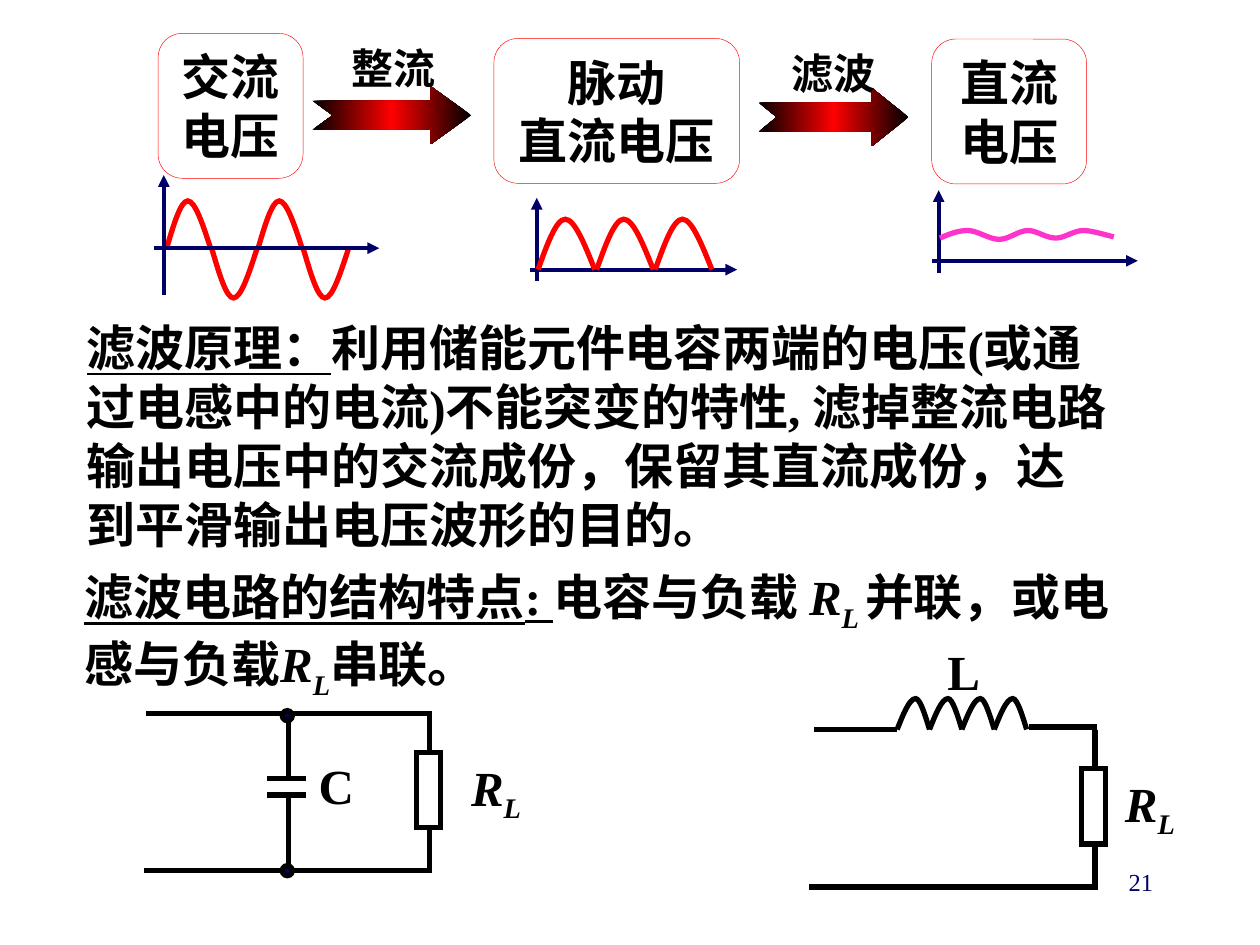
import copy

import pptx
import pptx.dml.color
import pptx.enum.shapes
import pptx.enum.text
import pptx.oxml.ns
import pptx.util
from lxml import etree

WIDE, HIGH = 100, 75  # grid of the slide: columns and rows, 0.1 inch each
SERIF, HAN = "Times New Roman", "Noto Sans CJK SC"
BLACK, RED, NAVY, PINK, WHITE = "000000", "FF0000", "000066", "FF33CC", "FFFFFF"
KIND = pptx.enum.shapes.MSO_SHAPE
ALIGN = pptx.enum.text.PP_ALIGN
MID = pptx.enum.text.MSO_ANCHOR.MIDDLE
TOP = pptx.enum.text.MSO_ANCHOR.TOP
FIT = pptx.enum.text.MSO_AUTO_SIZE.SHAPE_TO_FIT_TEXT
qn = pptx.oxml.ns.qn


def cell(*nums):
    """Turn grid units into lengths."""
    return [pptx.util.Inches(n / 10) for n in nums]


def rgb(code):
    return pptx.dml.color.RGBColor.from_string(code)


def stroke(line, color, width):
    line.color.rgb = rgb(color)
    line.width = pptx.util.Pt(width)
    etree.SubElement(line._get_or_add_ln(), qn("a:miter")).set("lim", "800000")


def write(shape, lines, size=28, color=BLACK, bold=True, face=SERIF,
          align=ALIGN.LEFT, anchor=TOP, side=1):
    """Fill a shape with lines of (text, marks); marks: u, i, s (subscript)."""
    frame = shape.text_frame
    frame.word_wrap = True
    frame.auto_size = FIT
    frame.vertical_anchor = anchor
    frame.margin_left, frame.margin_right = cell(side, side)
    for n, runs in enumerate(lines):
        para = frame.add_paragraph() if n else frame.paragraphs[0]
        para.alignment = align
        for text, marks in runs:
            run = para.add_run()
            run.text = text
            font = run.font
            font.name, font.size, font.bold = face, pptx.util.Pt(size), bold
            font.color.rgb = rgb(color)
            font.underline, font.italic = "u" in marks, "i" in marks
            props = run._r.get_or_add_rPr()
            if "s" in marks:
                props.set("baseline", "-25000")
            etree.SubElement(props, qn("a:ea")).set("typeface", HAN)


def label(art, at, lines, **look):
    write(art.add_textbox(*cell(*at)), lines, **look)


def wire(art, x1, y1, x2, y2, color=BLACK, width=3, arrow=False):
    line = art.add_connector(pptx.enum.shapes.MSO_CONNECTOR.STRAIGHT,
                             *cell(x1, y1, x2, y2))
    stroke(line.line, color, width)
    if arrow:
        tip = etree.SubElement(line.line._get_or_add_ln(), qn("a:tailEnd"))
        tip.set("type", "triangle")
    etree.SubElement(line._element.spPr, qn("a:effectLst"))


def block(art, kind, at, fill=None, color=BLACK, width=3):
    shape = art.add_shape(kind, *cell(*at))
    shape.shadow.inherit = False
    if fill:
        shape.fill.solid()
        shape.fill.fore_color.rgb = rgb(fill)
    else:
        shape.fill.background()
    stroke(shape.line, color, width)
    return shape


def curve(art, pts, color):
    """Draw an open line through chained cubic curves."""
    pen = art.build_freeform(*cell(*pts[0]), scale=1.0)
    pen.add_line_segments([cell(*p) for p in pts[1:]], close=False)
    shape = pen.convert_to_shape()
    # Each three straight pieces become one cubic piece
    legs = list(shape._element.iter(qn("a:lnTo")))
    for k in range(0, len(legs), 3):
        bend = etree.Element(qn("a:cubicBezTo"))
        legs[k].addprevious(bend)
        for leg in legs[k:k + 3]:
            bend.append(leg[0])
            leg.getparent().remove(leg)
    shape.shadow.inherit = False
    shape.fill.background()
    stroke(shape.line, color, 3)


def arch(art, x, y, wide, high, color, peak=.48):
    """Half a wave on the base line y; a negative height hangs below it."""
    rest = 1 - peak
    shares = [(0, 0), (peak / 3, .5), (peak * 2 / 3, 1), (peak, 1),
              (peak + rest * .32, 1), (peak + rest * .66, .5), (1, 0)]
    curve(art, [(x + wide * p, y - high * q) for p, q in shares], color)


def stage(art, at, words):
    shape = block(art, KIND.FLOWCHART_ALTERNATE_PROCESS, at, color=RED, width=.25)
    write(shape, [[(word, "")] for word in words], face=HAN, align=ALIGN.CENTER, anchor=MID)


def step(slide, at, head, spot, word):
    """Gradient arrow with its name above."""
    art = slide.shapes.add_group_shape().shapes
    shape = art.add_shape(KIND.NOTCHED_RIGHT_ARROW, *cell(*at))
    shape.shadow.inherit = False
    shape.adjustments[0], shape.adjustments[1] = .5, head
    shape.fill.gradient()
    shape.fill.gradient_angle = 0
    first, last = shape.fill.gradient_stops
    first.color.rgb = last.color.rgb = rgb(BLACK)
    first.position, last.position = 0, 1
    gs = next(shape._element.iter(qn("a:gs")))
    gs.addnext(copy.deepcopy(gs))
    core = shape.fill.gradient_stops[1]
    core.color.rgb, core.position = rgb(RED), .5
    shape.line.fill.background()
    label(art, spot, [[(word, "")]], size=24, face=HAN, align=ALIGN.CENTER,
          anchor=MID, side=0)


def axes(art, x, y, left, right, low, high):
    wire(art, x, low, x, high, NAVY, 2.25, True)
    wire(art, left, y, right, y, NAVY, 2.25, True)


def load(art, x, y, left, spot):
    """Right branch with the load, and the return wire."""
    wire(art, x, y, x, y + 12.7)
    wire(art, left, y + 12.5, x, y + 12.5)
    block(art, KIND.RECTANGLE, (x - 1.05, y + 3.1, 1.9, 6), WHITE)
    label(art, (spot, y + 3, 7.1, 6.3), [[("R", "i"), ("L", "is")]])


def waves(slide):
    art = slide.shapes.add_group_shape().shapes
    # Pulsating voltage
    axes(art, 42.6, 21.4, 42.1, 58.5, 22.3, 15.7)
    for n in range(3):
        arch(art, 42.7 + 4.65 * n, 21.4, 4.5, 4, RED)
    # Smoothed voltage
    axes(art, 74.5, 20.7, 74, 90.3, 21.7, 15.1)
    curve(art, [(74.6, 18.9), (75.3, 18.6), (76, 18.3), (76.8, 18.3), (77.6, 18.3),
                (78.5, 19), (79.3, 19), (80.1, 19), (80.8, 18.3), (81.6, 18.3),
                (82.3, 18.3), (83, 18.9), (83.8, 18.9), (84.5, 18.9), (85.2, 18.3),
                (86, 18.3), (86.7, 18.3), (87.9, 18.7), (88.4, 18.8)], PINK)
    # Alternating voltage
    for n in range(4):
        arch(art, 13.2 + 3.63 * n, 19.8, 3.55, 3.85 * (-1) ** n, RED)
    axes(art, 13, 19.7, 12.2, 30.1, 23.4, 13.9)


def coil(slide):
    """Inductor in series with the load."""
    art = slide.shapes.add_group_shape().shapes
    wire(art, 64.6, 57.9, 71.2, 57.9)
    load(art, 86.9, 57.9, 64.2, 88.3)
    for n in range(4):
        arch(art, 71.2 + 2.57 * n, 57.9, 2.57, 2.45, BLACK, .57)
    wire(art, 81.7, 57.7, 87.1, 57.7)
    label(art, (74.2, 50.4, 9.4, 5.7), [[("L", "")]])


def shunt(slide):
    """Capacitor in parallel with the load."""
    art = slide.shapes.add_group_shape().shapes
    wire(art, 11.6, 56.6, 34.3, 56.6)
    load(art, 34.1, 56.6, 11.4, 36.4)
    for plate, end, dot in ((61.8, 56.6, 56.4), (63.1, 69.1, 68.7)):
        wire(art, 21.2, plate, 24.3, plate)
        wire(art, 22.9, end, 22.9, plate)
        block(art, KIND.OVAL, (22.4, dot, .8, .8), NAVY)
    label(art, (24.3, 59.5, 5.6, 5.7), [[("C", "")]])


def main():
    deck = pptx.Presentation()
    deck.slide_width, deck.slide_height = cell(WIDE, HIGH)
    slide = deck.slides.add_slide(deck.slide_layouts[6])
    art = slide.shapes

    # Chain of stages
    stage(art, (12.55, 2.65, 11.5, 11.5), ("交流", "电压"))
    stage(art, (39.2, 3.05, 19.5, 11.5), ("脉动", "直流电压"))
    stage(art, (73.95, 3.1, 12.3, 11.5), ("直流", "电压"))
    step(slide, (24.8, 6.85, 12.6, 4.6), .7, (26.45, 2.85, 9.6, 5), "整流")
    step(slide, (60.2, 7, 11.9, 4.6), .63, (61.85, 3.3, 8.6, 5), "滤波")
    waves(slide)

    # Explanations
    label(art, (5.9, 24.7, 83.5, 19.7), [[
        ("滤波原理：", "u"),
        ("利用储能元件电容两端的电压(或通过电感中的电流)不能突变的特性, 滤掉整流电路"
         "输出电压中的交流成份，保留其直流成份，达到平滑输出电压波形的目的。", "")]], anchor=MID)
    label(art, (6.7, 44.5, 83.5, 11.6), [[
        ("滤波电路的结构特点: ", "u"), ("电容与负载 ", ""), ("R", "i"), ("L ", "is"),
        ("并联，或电感与负载", ""), ("R", "i"), ("L", "is"), ("串联。", "")]], side=0)

    # Circuits and page number
    coil(slide)
    shunt(slide)
    label(art, (71.7, 68.3, 20.8, 5), [[("21", "")]], size=14, color=NAVY,
          bold=False, align=ALIGN.RIGHT)
    deck.save("out.pptx")


if __name__ == "__main__":
    main()
